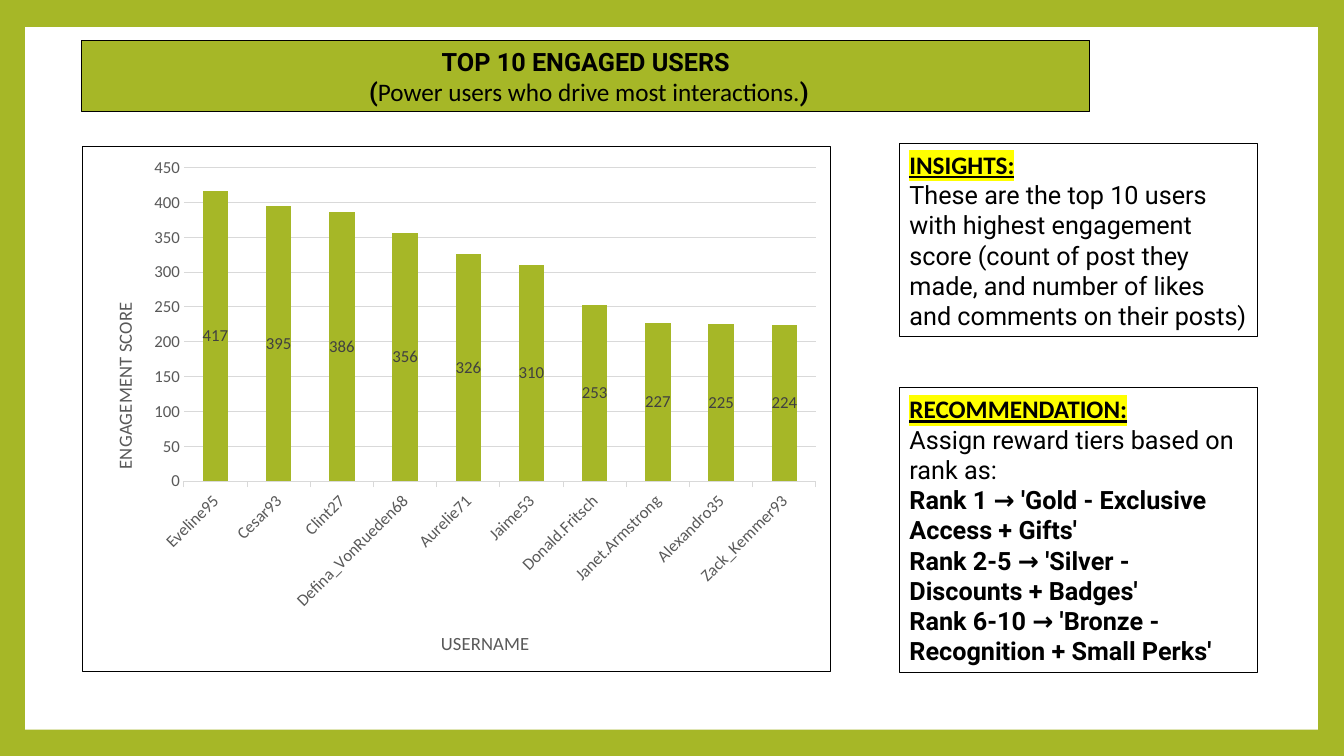
from dataclasses import dataclass

from lxml import etree
from pptx import Presentation
from pptx.chart.data import CategoryChartData
from pptx.dml.color import RGBColor
from pptx.enum.chart import XL_CHART_TYPE, XL_LABEL_POSITION, XL_TICK_MARK
from pptx.enum.shapes import MSO_SHAPE
from pptx.enum.text import MSO_ANCHOR, MSO_AUTO_SIZE, PP_ALIGN
from pptx.oxml import parse_xml
from pptx.oxml.ns import qn
from pptx.util import Inches, Pt

STACKED = XL_CHART_TYPE.COLUMN_STACKED
CENTER = XL_LABEL_POSITION.CENTER
NO_TICK, OUTSIDE = XL_TICK_MARK.NONE, XL_TICK_MARK.OUTSIDE
RECT = MSO_SHAPE.RECTANGLE
MIDDLE = MSO_ANCHOR.MIDDLE
NO_FIT = MSO_AUTO_SIZE.NONE
MID, LEFT = PP_ALIGN.CENTER, PP_ALIGN.LEFT

GREEN = RGBColor(0xA6, 0xB7, 0x27)
WHITE = RGBColor(0xFF, 0xFF, 0xFF)
BLACK = RGBColor(0, 0, 0)
YELLOW = RGBColor(0xFF, 0xFF, 0)
GRAY = RGBColor(0x59, 0x59, 0x59)
DARK = RGBColor(0x40, 0x40, 0x40)
PALE = RGBColor(0xD9, 0xD9, 0xD9)
SANS, HEAD = "Roboto", "Calibri"
CHART_NS = "http://schemas.openxmlformats.org/drawingml/2006/chart"
DRAW_NS = "http://schemas.openxmlformats.org/drawingml/2006/main"

SCORES = {
    "Eveline95": 417, "Cesar93": 395, "Clint27": 386,
    "Defina_VonRueden68": 356, "Aurelie71": 326, "Jaime53": 310,
    "Donald.Fritsch": 253, "Janet.Armstrong": 227,
    "Alexandro35": 225, "Zack_Kemmer93": 224,
}


@dataclass
class Run:
    text: str
    face: str = SANS
    bold: bool = False
    marked: bool = False


@dataclass
class Box:
    slot: int
    left: float
    top: float
    width: float
    height: float
    fill: RGBColor
    align: PP_ALIGN
    lines: list[list[Run]]


BOXES = [
    Box(0, 0.81, 0.4, 10, 0.71, GREEN, MID, [
        [Run("TOP 10 ENGAGED USERS", bold=True)],
        [Run(" (", bold=True),
         Run("Power users who drive most interactions.", HEAD),
         Run(")", bold=True)],
    ]),
    Box(1, 8.92, 1.42, 3.55, 1.92, WHITE, LEFT, [
        [Run("INSIGHTS:", HEAD, True, True)],
        [Run("These are the top 10 users with highest engagement score "
             "(count of post they made, and number of likes and comments "
             "on their posts)")],
    ]),
    Box(2, 8.92, 3.84, 3.55, 2.83, WHITE, LEFT, [
        [Run("RECOMMENDATION:", HEAD, True, True)],
        [Run("Assign reward tiers based on rank as:")],
        [Run("Rank 1 → 'Gold - Exclusive Access + Gifts'", bold=True)],
        [Run("Rank 2-5 → 'Silver - Discounts + Badges'", bold=True)],
        [Run("Rank 6-10 → 'Bronze - Recognition + Small Perks'", bold=True)],
    ]),
]


def style(font, size: float, color: RGBColor, face: str = HEAD,
          bold: bool = False) -> None:
    font.size, font.name, font.bold = Pt(size), face, bold
    font.color.rgb = color


def write(para, text: str, *, face: str, bold: bool, marked: bool) -> None:
    run = para.add_run()
    run.text = text
    style(run.font, 18, BLACK, face, bold)
    if marked:
        run.font.underline = True
        mark = etree.Element(qn("a:highlight"))
        etree.SubElement(mark, qn("a:srgbClr"), val=str(YELLOW))
        run.font._element.find(qn("a:solidFill")).addnext(mark)


def draw_box(slide, box: Box) -> None:
    shape = slide.placeholders[box.slot]
    shape.left, shape.top = Inches(box.left), Inches(box.top)
    shape.width, shape.height = Inches(box.width), Inches(box.height)
    shape.fill.solid()
    shape.fill.fore_color.rgb = box.fill
    shape.line.color.rgb = BLACK
    shape.line.width = Pt(0.75)
    frame = shape.text_frame
    frame.word_wrap = True
    frame.auto_size = NO_FIT
    frame.vertical_anchor = MIDDLE
    for num, line in enumerate(box.lines):
        para = frame.add_paragraph() if num else frame.paragraphs[0]
        para.alignment = box.align
        para.space_before = para.space_after = Pt(0)
        props = para._p.get_or_add_pPr()
        props.set("marL", "0")
        props.set("indent", "0")
        etree.SubElement(props, qn("a:buNone"))
        for run in line:
            write(para, run.text, face=run.face, bold=run.bold,
                  marked=run.marked)


def place(node, index: int, **spots: float) -> None:
    for old in node.findall(qn("c:layout")):
        node.remove(old)
    layout = etree.Element(qn("c:layout"))
    manual = etree.SubElement(layout, qn("c:manualLayout"))
    if "w" in spots:
        etree.SubElement(manual, qn("c:layoutTarget"), val="inner")
    for key in ("x", "y"):
        etree.SubElement(manual, qn(f"c:{key}Mode"), val="edge")
    for key, val in spots.items():
        etree.SubElement(manual, qn(f"c:{key}"), val=str(val))
    node.insert(index, layout)


def set_axis(axis, text: str, x: float, y: float) -> None:
    style(axis.tick_labels.font, 12, GRAY)
    axis.has_title = True
    title = axis.axis_title
    title.text_frame.text = text
    style(title.text_frame.paragraphs[0].runs[0].font, 13.3, GRAY)
    place(title._element, 1, x=x, y=y)


def draw_chart(slide) -> None:
    data = CategoryChartData()
    data.categories = list(SCORES)
    data.add_series("Series 1", list(SCORES.values()))
    chart = slide.shapes.add_chart(
        STACKED, Inches(0.81), Inches(1.45), Inches(7.43), Inches(5.22),
        data).chart
    style(chart.font, 10, BLACK)
    chart.has_legend = chart.has_title = False
    plot = chart.plots[0]
    plot.gap_width, plot.overlap = 150, 100
    plot.vary_by_categories = False
    bars = plot.series[0]
    bars.format.fill.solid()
    bars.format.fill.fore_color.rgb = GREEN
    labels = bars.data_labels
    labels.show_value = True
    labels.position = CENTER
    style(labels.font, 12, DARK)

    users, score = chart.category_axis, chart.value_axis
    set_axis(users, "USERNAME", 0.475, 0.915)
    set_axis(score, "ENGAGEMENT SCORE", 0.035, 0.29)
    users.major_tick_mark = OUTSIDE
    score.major_tick_mark = NO_TICK
    score.minimum_scale, score.maximum_scale, score.major_unit = 0, 450, 50
    score.format.line.fill.background()
    for line in (users.format.line, score.major_gridlines.format.line):
        line.color.rgb = PALE
        line.width = Pt(0.75)
    turn = users._element.find(qn("c:txPr")).find(qn("a:bodyPr"))
    turn.set("rot", "-2700000")
    turn.set("vert", "horz")

    root = chart._chartSpace.find(qn("c:chart"))
    place(root.find(qn("c:plotArea")), 0, x=0.136, y=0.04, w=0.845, h=0.597)
    root.addnext(parse_xml(
        f'<c:spPr xmlns:c="{CHART_NS}" xmlns:a="{DRAW_NS}"><a:noFill/>'
        f'<a:ln w="{Pt(0.75)}"><a:solidFill><a:srgbClr val="{BLACK}"/>'
        '</a:solidFill></a:ln></c:spPr>'))


def main() -> None:
    deck = Presentation()
    deck.slide_width, deck.slide_height = Inches(13.33), Inches(7.5)
    slide = deck.slides.add_slide(deck.slide_layouts[3])
    slide.background.fill.solid()
    slide.background.fill.fore_color.rgb = GREEN
    panel = slide.shapes.add_shape(
        RECT, Inches(0.25), Inches(0.27), Inches(12.82), Inches(6.97))
    panel.shadow.inherit = False
    panel.fill.solid()
    panel.fill.fore_color.rgb = WHITE
    panel.line.fill.background()
    slide.shapes.title.element.addprevious(panel.element)
    for box in BOXES:
        draw_box(slide, box)
    draw_chart(slide)
    deck.save("out.pptx")


if __name__ == "__main__":
    main()
